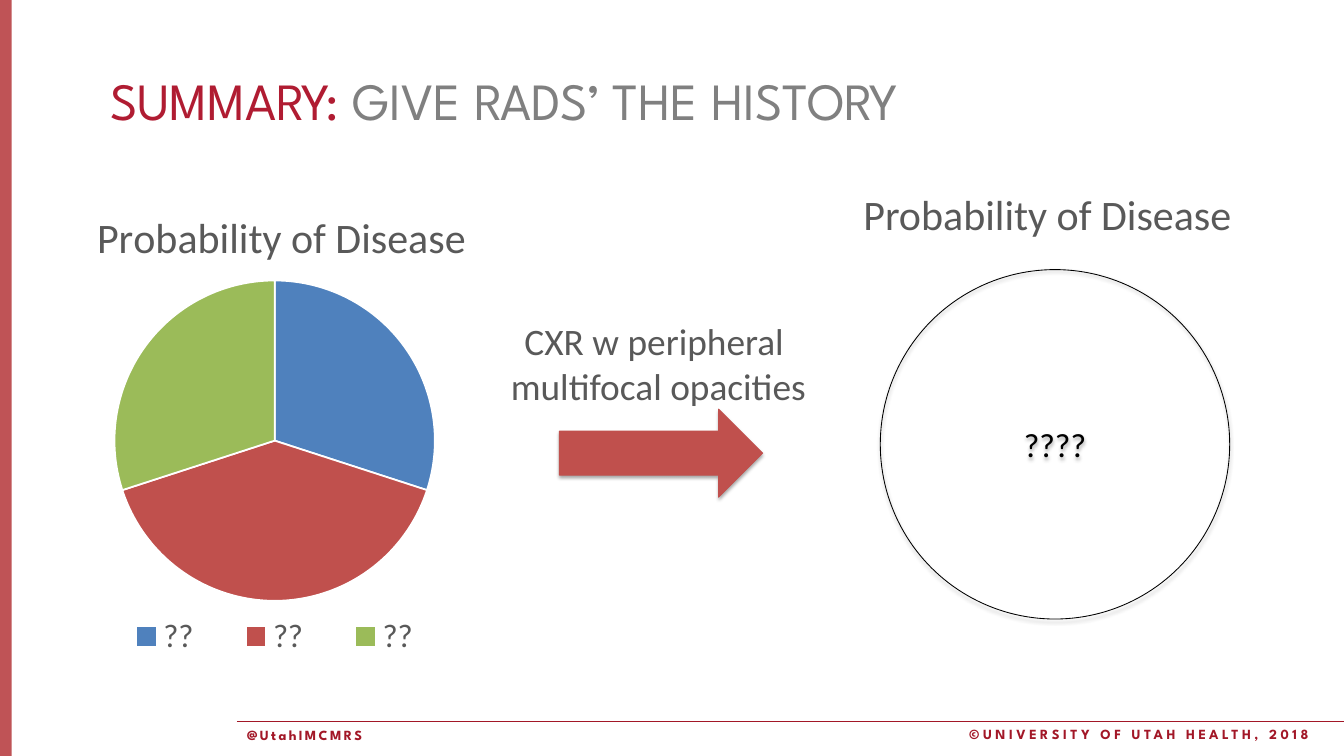
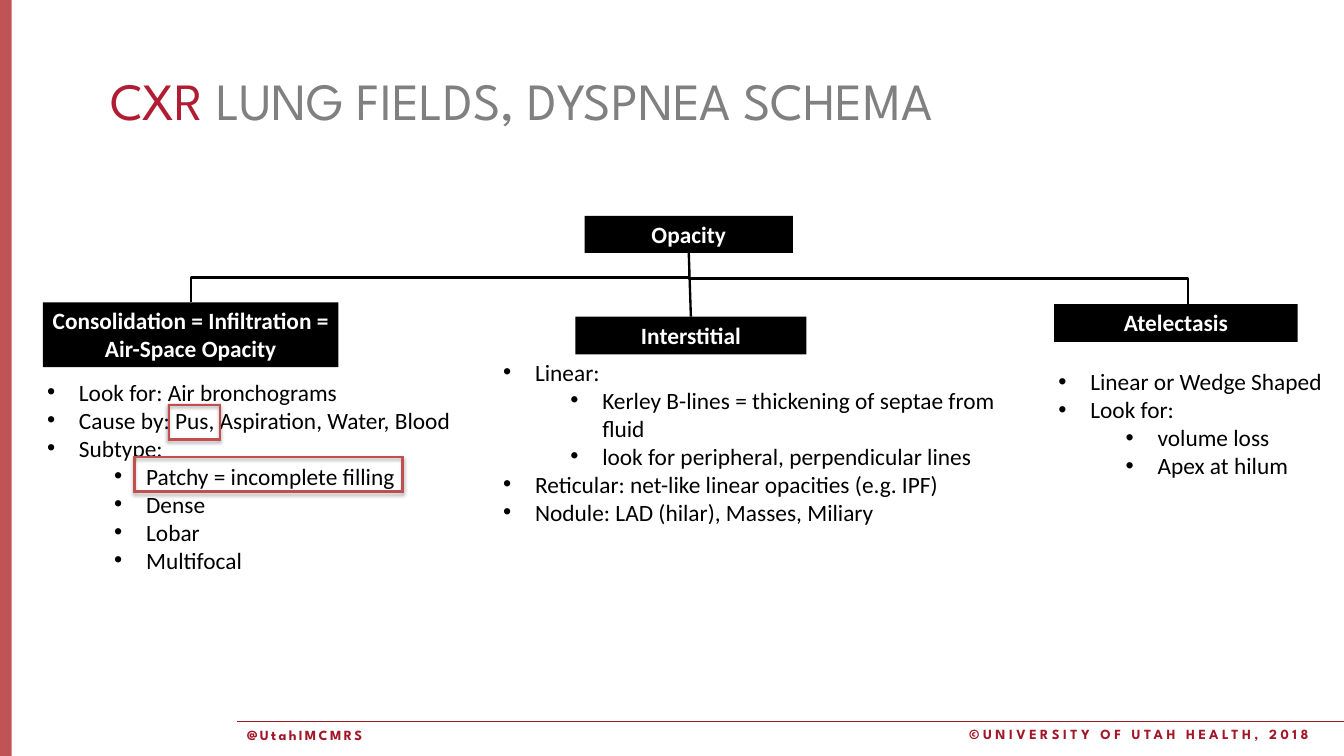
from dataclasses import dataclass

from lxml.etree import SubElement
from pptx import Presentation
from pptx.chart.data import CategoryChartData
from pptx.dml.color import RGBColor
from pptx.enum.chart import XL_CHART_TYPE, XL_LEGEND_POSITION
from pptx.enum.shapes import MSO_CONNECTOR, MSO_SHAPE
from pptx.enum.text import MSO_ANCHOR, MSO_AUTO_SIZE, PP_ALIGN
from pptx.oxml.ns import qn
from pptx.util import Inches, Pt


@dataclass(frozen=True)
class Theme:
    heading_font: str = "League Spartan"
    body_font: str = "Calibri"
    bar: str = "AF282C"
    footer: str = "A21727"
    lead: str = "B01C32"
    title_grey: str = "808080"
    label_grey: str = "595959"
    accent: str = "C0504D"
    black: str = "000000"
    white: str = "FFFFFF"
    slices: tuple = ("4F81BD", "C0504D", "9BBB59")
    title_size: float = 44.8
    chart_title_size: float = 36
    label_size: float = 32
    circle_size: float = 28.8
    legend_size: float = 28
    tree_size: float = 20
    footer_size: float = 12


T = Theme()

HANDLE = "@UtahIMCMRS"
COPYRIGHT = "©UNIVERSITY OF UTAH HEALTH, 2018"
HISTORY_TITLE = ("SUMMARY: ", "GIVE RADS’ THE HISTORY")
SCHEMA_TITLE = ("CXR ", "LUNG FIELDS, DYSPNEA SCHEMA")

DISEASE_TITLE = "Probability of Disease"
DISEASES = [("??", 30), ("??", 40), ("??", 30)]
FINDING = ["CXR w peripheral ", "multifocal opacities"]

BOXES = [
    ("Opacity", (6.96, 2.57, 2.48, 0.44)),
    ("Consolidation = Infiltration = Air-Space Opacity", (0.51, 3.6, 3.52, 0.77)),
    ("Interstitial", (6.85, 3.77, 2.75, 0.45)),
    ("Atelectasis", (12.55, 3.62, 2.9, 0.45)),
]
LISTS = [
    ((0.51, 4.45, 5.01, 2.46), [
        (0, "Look for: Air bronchograms"),
        (0, "Cause by: Pus, Aspiration, Water, Blood"),
        (0, "Subtype:"),
        (1, "Patchy = incomplete filling"),
        (1, "Dense"),
        (1, "Lobar"),
        (1, "Multifocal"),
    ]),
    ((5.94, 4.21, 6.03, 2.12), [
        (0, "Linear:"),
        (1, "Kerley B-lines = thickening of septae from fluid"),
        (1, "look for peripheral, perpendicular lines"),
        (0, "Reticular: net-like linear opacities (e.g. IPF)"),
        (0, "Nodule: LAD (hilar), Masses, Miliary"),
    ]),
    ((12.55, 4.32, 3.45, 1.45), [
        (0, "Linear or Wedge Shaped"),
        (0, "Look for:"),
        (1, "volume loss"),
        (1, "Apex at hilum"),
    ]),
]
HIGHLIGHTS = [(1.59, 5.43, 3.21, 0.43), (2, 4.81, 0.63, 0.43)]
BULLET_INDENTS = (0.38, 1.18)
BULLET_HANG = 0.38


def rgb(value):
    return RGBColor.from_string(value)


def place(sp, at):
    sp.left, sp.top, sp.width, sp.height = (Inches(v) for v in at)


def style(font, size, color, name=T.body_font, bold=False):
    font.size, font.name, font.bold = Pt(size), name, bold
    font.color.rgb = rgb(color)


def write(sp, lines, size, color, align=PP_ALIGN.LEFT, anchor=MSO_ANCHOR.TOP,
          name=T.body_font, bold=False, spacing=0, wrap=True, inset=None):
    tf = sp.text_frame
    tf.text = "\n".join(lines)
    tf.word_wrap, tf.auto_size = wrap, MSO_AUTO_SIZE.NONE
    tf.vertical_anchor = anchor
    if inset is not None:
        tf.margin_left = tf.margin_right = Inches(inset)
        tf.margin_top = tf.margin_bottom = Inches(inset)
    for p in tf.paragraphs:
        p.alignment = align
        for r in p.runs:
            style(r.font, size, color, name, bold)
            if spacing:
                r._r.get_or_add_rPr().set("spc", str(spacing * 100))
    return tf


def add_text(s, at, lines, size, color, **options):
    sp = s.shapes.add_textbox(*(Inches(v) for v in at))
    return write(sp, lines, size, color, **options)


def add_shape(s, kind, at, fill=None, line=None, shadow=False):
    sp = s.shapes.add_shape(kind, *(Inches(v) for v in at))
    sp.shadow.inherit = False
    if fill:
        sp.fill.solid()
        sp.fill.fore_color.rgb = rgb(fill)
    else:
        sp.fill.background()
    if line:
        sp.line.color.rgb = rgb(line)
        sp.line.width = Pt(0.75)
    else:
        sp.line.fill.background()
    if shadow:
        effects = sp._element.spPr.find(qn("a:effectLst"))
        outer = SubElement(effects, qn("a:outerShdw"), blurRad=str(Pt(3.1)),
                           dist=str(Pt(1.8)), dir="5400000", rotWithShape="0")
        color = SubElement(outer, qn("a:srgbClr"), val=T.black)
        SubElement(color, qn("a:alpha"), val="35000")
    return sp


def add_line(s, start, end, color, width, kind=MSO_CONNECTOR.STRAIGHT):
    c = s.shapes.add_connector(kind, *(Inches(v) for v in (*start, *end)))
    c.line.color.rgb = rgb(color)
    c.line.width = Pt(width)
    SubElement(c._element.spPr, qn("a:effectLst"))
    return c


def add_vertical_elbow(s, start, end, color, width):
    c = add_line(s, start, end, color, width, MSO_CONNECTOR.ELBOW)
    (x1, y1), (x2, y2) = start, end
    drop, span = y2 - y1, abs(x2 - x1)
    place(c, ((x1 + x2 - drop) / 2, (y1 + y2 - span) / 2, drop, span))
    xfrm = c._element.spPr.find(qn("a:xfrm"))
    to_right = x2 > x1
    xfrm.set("rot", str((270 if to_right else 90) * 60000))
    xfrm.set("flipH", "1" if to_right else "0")


def new_slide(prs, title):
    s = prs.slides.add_slide(prs.slide_layouts[1])
    bar = add_shape(s, MSO_SHAPE.RECTANGLE, (0, 0, 0.14, 9), T.bar)
    color = bar._element.spPr.find(qn("a:solidFill"))[0]
    SubElement(color, qn("a:alpha"), val="80000")
    add_line(s, (2.82, 8.59), (16, 8.59), T.footer, 1)
    footer = dict(size=T.footer_size, color=T.footer, name=T.heading_font, bold=True)
    add_text(s, (11.44, 8.59, 4.56, 0.3), [COPYRIGHT], spacing=3, **footer)

    heading = s.shapes.title
    place(heading, (1.21, 0.76, 13.99, 0.72))
    write(heading, [title[0]], T.title_size, T.lead, name=T.heading_font)
    r = heading.text_frame.paragraphs[0].add_run()
    r.text = title[1]
    style(r.font, T.title_size, T.title_grey, T.heading_font)

    handle = s.placeholders[1]
    place(handle, (2.84, 8.6, 1.7, 0.33))
    p = write(handle, [HANDLE], spacing=2, **footer).paragraphs[0]
    pPr = p._p.get_or_add_pPr()
    pPr.set("marL", "0")
    pPr.set("indent", "0")
    SubElement(pPr, qn("a:buNone"))
    p.space_before = Pt(0)
    return s


def set_layout(element, index, inner=False, **fractions):
    for old in element.findall(qn("c:layout")):
        element.remove(old)
    layout = element.makeelement(qn("c:layout"))
    element.insert(index, layout)
    manual = SubElement(layout, qn("c:manualLayout"))
    if inner:
        SubElement(manual, qn("c:layoutTarget"), val="inner")
    for axis in ("xMode", "yMode"):
        SubElement(manual, qn(f"c:{axis}"), val="edge")
    for key, value in fractions.items():
        SubElement(manual, qn(f"c:{key}"), val=str(value))


def add_disease_pie(s, at):
    data = CategoryChartData()
    data.categories = [name for name, _ in DISEASES]
    data.add_series("Series 1", [value for _, value in DISEASES])
    frame = s.shapes.add_chart(XL_CHART_TYPE.PIE, *(Inches(v) for v in at), data)
    chart = frame.chart
    style(chart.font, 10, T.black)
    chart.has_title = True
    tf = chart.chart_title.text_frame
    tf.text = DISEASE_TITLE
    style(tf.paragraphs[0].runs[0].font, T.chart_title_size, T.label_grey)
    chart.has_legend = True
    chart.legend.position = XL_LEGEND_POSITION.BOTTOM
    chart.legend.include_in_layout = False
    style(chart.legend.font, T.legend_size, T.label_grey)
    plot = chart.plots[0]
    plot.vary_by_categories = True
    for i, color in enumerate(T.slices):
        fmt = plot.series[0].points[i].format
        fmt.fill.solid()
        fmt.fill.fore_color.rgb = rgb(color)
        fmt.line.color.rgb = rgb(T.white)
        fmt.line.width = Pt(1.5)
    root = chart._chartSpace.chart
    set_layout(root.find(qn("c:title")), 1, x=0.13, y=0.05)
    set_layout(root.find(qn("c:plotArea")), 0, inner=True, x=0.18, y=0.21, w=0.64, h=0.65)
    set_layout(root.find(qn("c:legend")), 1, x=0.14, y=0.88, w=0.72, h=0.1)


def build_history(prs):
    s = new_slide(prs, HISTORY_TITLE)
    add_disease_pie(s, (0.29, 2.09, 5.96, 5.9))
    add_shape(s, MSO_SHAPE.RIGHT_ARROW, (6.66, 4.87, 2.42, 1.05), T.accent, T.accent, True)
    add_text(s, (5.96, 3.74, 3.76, 1.18), FINDING, T.label_size, T.label_grey,
             align=PP_ALIGN.CENTER, wrap=False)
    circle = add_shape(s, MSO_SHAPE.OVAL, (10.48, 3.21, 4.16, 4.16), line=T.black, shadow=True)
    write(circle, ["????"], T.circle_size, T.black, PP_ALIGN.CENTER, MSO_ANCHOR.MIDDLE)
    add_text(s, (10.18, 2.19, 4.63, 0.71), [DISEASE_TITLE], T.chart_title_size,
             T.label_grey, wrap=False)


def add_bullets(s, at, items):
    tf = add_text(s, at, [text for _, text in items], T.tree_size, T.black, inset=0.05)
    for p, (level, _) in zip(tf.paragraphs, items):
        p.level = level
        pPr = p._p.get_or_add_pPr()
        pPr.set("marL", str(Inches(BULLET_INDENTS[level])))
        pPr.set("indent", str(-Inches(BULLET_HANG)))
        SubElement(pPr, qn("a:buFont"), typeface="Arial")
        SubElement(pPr, qn("a:buChar"), char="•")


def build_schema(prs):
    s = new_slide(prs, SCHEMA_TITLE)
    for text, at in BOXES:
        box = add_shape(s, MSO_SHAPE.RECTANGLE, at, T.black)
        write(box, [text], T.tree_size, T.white, PP_ALIGN.CENTER, bold=True, inset=0.05)
    for at, items in LISTS:
        add_bullets(s, at, items)
    tops = [(x + w / 2, y) for _, (x, y, w, h) in BOXES]
    _, consolidation, interstitial, atelectasis = tops
    root = (tops[0][0], BOXES[0][1][1] + BOXES[0][1][3])
    add_vertical_elbow(s, root, consolidation, T.black, 2)
    add_line(s, root, interstitial, T.black, 2)
    add_vertical_elbow(s, root, (14.14, atelectasis[1]), T.black, 2)
    for at in HIGHLIGHTS:
        frame = add_shape(s, MSO_SHAPE.FRAME, at, T.accent, T.accent, True)
        frame.adjustments[0] = 0.04


def main():
    prs = Presentation()
    prs.slide_width, prs.slide_height = Inches(16), Inches(9)
    build_history(prs)
    build_schema(prs)
    prs.save("out.pptx")


if __name__ == "__main__":
    main()
